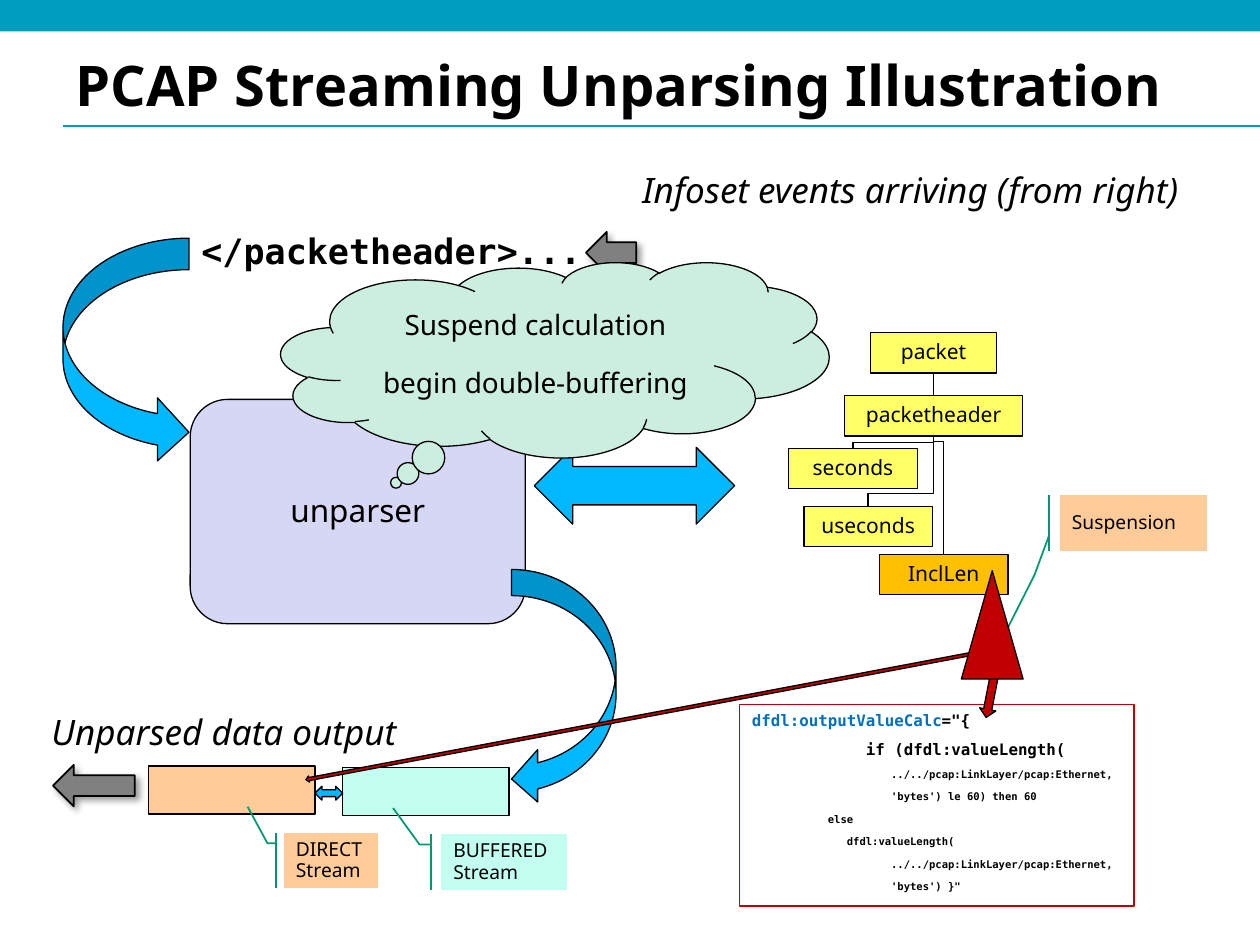
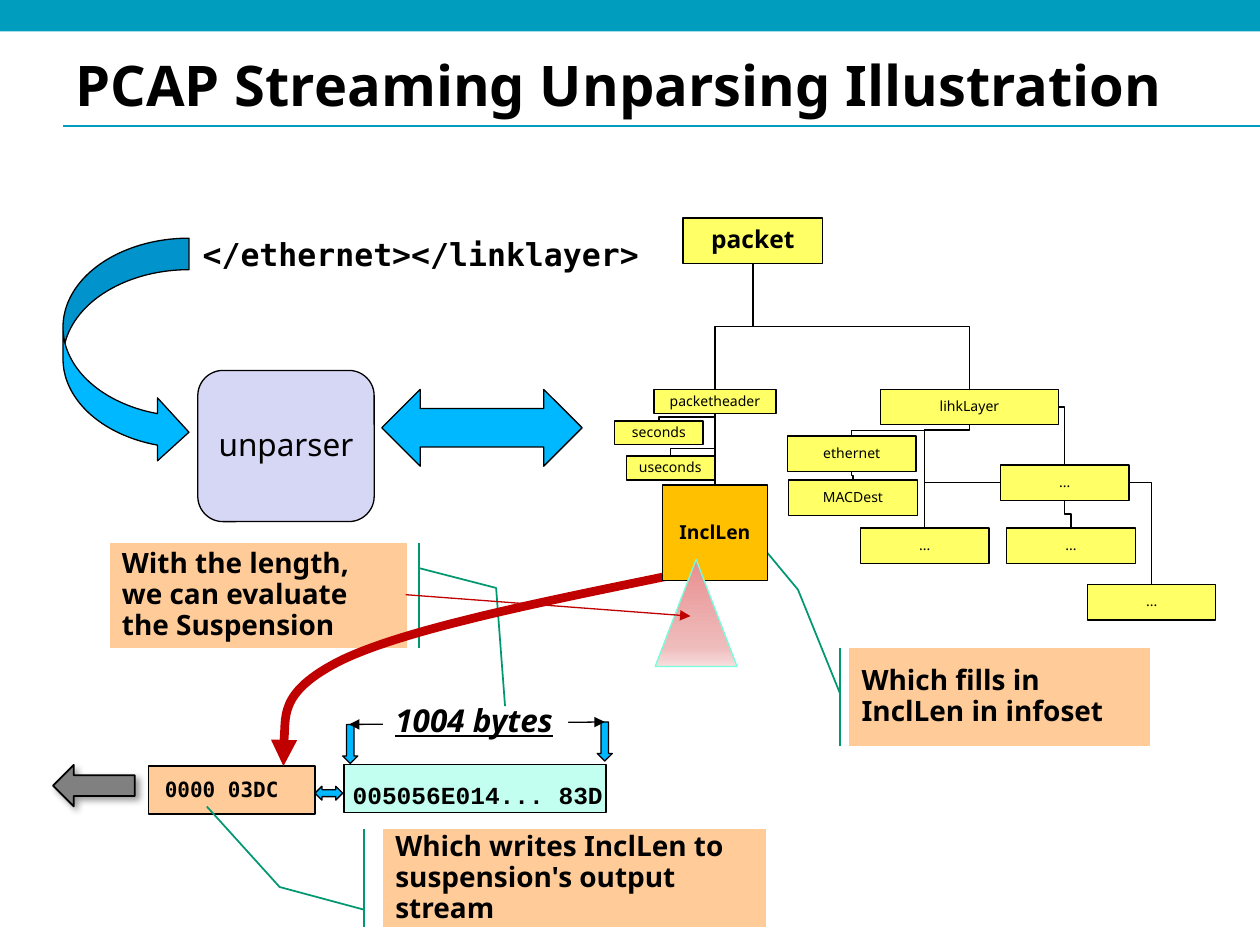
from copy import deepcopy

from lxml.etree import SubElement
from pptx import Presentation
from pptx.dml.color import RGBColor
from pptx.enum.shapes import MSO_CONNECTOR as LINE, MSO_SHAPE as SHAPE
from pptx.enum.text import MSO_ANCHOR as ANCHOR, PP_ALIGN as ALIGN
from pptx.oxml.ns import qn
from pptx.util import Inches, Pt

BLACK = RGBColor(0x00, 0x00, 0x00)
WHITE = RGBColor(0xFF, 0xFF, 0xFF)
TEAL = RGBColor(0x00, 0x9D, 0xBF)
GREEN = RGBColor(0x00, 0x97, 0x71)
CYAN = RGBColor(0x00, 0xB8, 0xFF)
GRAY = RGBColor(0x80, 0x80, 0x80)
PEACH = RGBColor(0xFF, 0xCC, 0x99)
AQUA = RGBColor(0xC2, 0xFF, 0xF0)
AQUA_EDGE = RGBColor(0x75, 0xFF, 0xDD)
LAVENDER = RGBColor(0xD6, 0xD6, 0xF5)
MINT = RGBColor(0xCC, 0xEE, 0xDF)
YELLOW = RGBColor(0xFF, 0xFF, 0x66)
AMBER = RGBColor(0xFF, 0xC0, 0x00)
RED = RGBColor(0xC0, 0x00, 0x00)
CODE_BLUE = RGBColor(0x00, 0x70, 0xC0)
FADE = [(0, RGBColor(0xE9, 0x8F, 0x8F)), (0.82, RGBColor(0xEF, 0xBC, 0xBC)),
        (1, RGBColor(0xF7, 0xDE, 0xDE))]

SANS, MONO, COURIER = "Noto Sans", "DejaVu Sans Mono", "Courier New"
COLS, ROWS = 100, 75
CELL = Inches(0.1)
TITLE = "PCAP Streaming Unparsing Illustration"


def cells(*values):
    """Turn grid columns or rows into EMU."""
    return [round(v * CELL) for v in values]


def bottom(sp):
    return sp.left + sp.width // 2, sp.top + sp.height


def top(sp):
    return sp.left + sp.width // 2, sp.top


class Sheet:
    """The deck's style and the slide being drawn, on a 100 x 75 grid."""

    def __init__(self, prs):
        self.prs = prs

    def new_slide(self):
        self.shapes = self.prs.slides.add_slide(self.prs.slide_layouts[6]).shapes
        self.line((5, 10), (COLS, 10), TEAL)
        self.shape(SHAPE.RECTANGLE, (0, 0, COLS, 2.5), TEAL, None)
        self.text((5, 3.8, 90, 6.1), TITLE, 32, bold=True, anchor=ANCHOR.MIDDLE,
                  spacing=0.98)

    def shape(self, kind, at, fill=None, edge=BLACK, width=0.75, turn=0, adj=(),
              flip=False):
        sp = self.shapes.add_shape(kind, *cells(*at))
        sp.shadow.inherit = False
        sp.rotation = turn
        for i, value in enumerate(adj):
            sp.adjustments[i] = value
        if flip:
            sp._element.spPr.xfrm.set("flipH", "1")
        self.paint(sp, fill, edge, width)
        return sp

    def paint(self, sp, fill, edge, width):
        if fill is None:
            sp.fill.background()
        else:
            sp.fill.solid()
            sp.fill.fore_color.rgb = fill
        if edge is None:
            sp.line.fill.background()
        else:
            sp.line.color.rgb = edge
            sp.line.width = Pt(width)

    def put_text(self, sp, text, size, font=SANS, bold=False, italic=False, underline=False,
                 align=ALIGN.LEFT, anchor=ANCHOR.TOP, wrap=True, spacing=0.93, gap=0):
        tf = sp.text_frame
        tf.word_wrap = wrap
        tf.vertical_anchor = anchor
        for i, line in enumerate(text.split("\n")):
            p = tf.add_paragraph() if i else tf.paragraphs[0]
            p.text = line
            p.alignment = align
            p.line_spacing = spacing
            if i:
                p.space_before = Pt(gap)
            f = p.font
            f.name, f.size, f.bold, f.italic = font, Pt(size), bold, italic
            f.underline = underline
            f.color.rgb = BLACK

    def text(self, at, text, size, **style):
        self.put_text(self.shapes.add_textbox(*cells(*at)), text, size, **style)

    def label(self, kind, at, fill, text, size, bold=False, gap=0, **look):
        """A filled shape with its text in the middle."""
        sp = self.shape(kind, at, fill, **look)
        self.put_text(sp, text, size, bold=bold, gap=gap, align=ALIGN.CENTER,
                      anchor=ANCHOR.MIDDLE)
        return sp

    def node(self, text, at, size, fill=YELLOW, bold=False):
        return self.label(SHAPE.RECTANGLE, at, fill, text, size, bold)

    def callout(self, text, at, adj, size, fill=PEACH, bold=False, flip=False):
        sp = self.shape(SHAPE.LINE_CALLOUT_2_ACCENT_BAR, at, fill, GREEN, 1, adj=adj, flip=flip)
        self.put_text(sp, text, size, bold=bold, anchor=ANCHOR.MIDDLE)

    def exit_arrow(self, at):
        """Gray arrow to the left with a soft shadow."""
        sp = self.shape(SHAPE.RIGHT_ARROW, at, GRAY, width=1, turn=180)
        effects = sp._element.spPr.find(qn("a:effectLst"))
        shadow = SubElement(effects, qn("a:outerShdw"), blurRad=str(Pt(4)),
                            dist=str(Pt(3)), dir="2700000", rotWithShape="0")
        color = SubElement(shadow, qn("a:srgbClr"), val=str(BLACK))
        SubElement(color, qn("a:alpha"), val="40000")

    def fade(self, sp, stops):
        """Fill from top to bottom through three colours."""
        sp.fill.gradient()
        sp.fill.gradient_angle = 270
        first = sp._element.spPr.find(".//" + qn("a:gs"))
        first.addnext(deepcopy(first))
        for stop, (position, color) in zip(sp.fill.gradient_stops, stops):
            stop.position = position
            stop.color.rgb = color

    def arrowheads(self, sp, ends):
        for end in ends:
            SubElement(sp._element.spPr.find(qn("a:ln")), qn("a:" + end), type="triangle")

    def connect(self, kind, start, end, color=BLACK, ends=()):
        c = self.shapes.add_connector(kind, *start, *end)
        c.line.color.rgb = color
        c.line.width = Pt(0.75)
        self.arrowheads(c, ends)
        SubElement(c._element.spPr, qn("a:effectLst"))
        return c

    def line(self, start, end, color=BLACK, ends=()):
        return self.connect(LINE.STRAIGHT, cells(*start), cells(*end), color, ends)

    def drop(self, parent, child):
        """Straight line down to a child right below."""
        c = self.connect(LINE.STRAIGHT, bottom(parent), top(child))
        c.begin_connect(parent, 2)
        c.end_connect(child, 0)

    def branch(self, parent, child, bend=0.5):
        """Down, across and down again; bend is the share of the first drop."""
        (x1, y1), (x2, y2) = bottom(parent), top(child)
        mid_x, mid_y = (x1 + x2) // 2, (y1 + y2) // 2
        to_right = x2 > x1
        run, rise = (y2 - y1) // 2, abs(x2 - x1) // 2
        if to_right:
            run = -run
        c = self.connect(LINE.ELBOW, (mid_x - run, mid_y - rise), (mid_x + run, mid_y + rise))
        spPr = c._element.spPr
        spPr.xfrm.set("rot", str((270 if to_right else 90) * 60000))
        SubElement(spPr.find(".//" + qn("a:avLst")), qn("a:gd"), name="adj1",
                   fmla=f"val {round(bend * 100000)}")

    def corner(self, parent, child):
        """Sideways out of the parent, then down onto the child."""
        x, y = top(child)
        side = parent.left + (parent.width if x > parent.left else 0)
        c = self.connect(LINE.ELBOW, (side, parent.top + parent.height // 2), (x, y))
        c._element.spPr.find(qn("a:prstGeom")).set("prst", "bentConnector2")

    def curve(self, points, color, width):
        """Open Bezier path: a start, then two handles and an end per piece."""
        start, *rest = [cells(*point) for point in points]
        builder = self.shapes.build_freeform(*start)
        builder.add_line_segments(rest, close=False)
        sp = builder.convert_to_shape()
        sp.shadow.inherit = False
        self.paint(sp, None, color, width)
        steps = list(sp._element.iter(qn("a:lnTo")))
        outline = steps[0].getparent()
        for i in range(0, len(steps), 3):
            bezier = SubElement(outline, qn("a:cubicBezTo"))
            for step in steps[i:i + 3]:
                bezier.append(step[0])
                outline.remove(step)
        self.arrowheads(sp, ["tailEnd"])

    def code(self, at, lines):
        """Framed listing; each line is (size, [(text, colour), ...])."""
        sp = self.shape(SHAPE.RECTANGLE, at, None, RED)
        tf = sp.text_frame
        tf.word_wrap = True
        tf.vertical_anchor = ANCHOR.TOP
        for i, (size, runs) in enumerate(lines):
            p = tf.add_paragraph() if i else tf.paragraphs[0]
            p.alignment = ALIGN.LEFT
            if i:
                p.space_before = Pt(5.6)
            p.font.name, p.font.size, p.font.bold = MONO, Pt(size), True
            for text, color in runs:
                r = p.add_run()
                r.text = text
                r.font.color.rgb = color

    def pipeline(self, buffered_at, unparser_at, infoset_link_at):
        """Parts that both slides show: input, unparser, output streams."""
        self.shape(SHAPE.RECTANGLE, buffered_at, AQUA)
        self.shape(SHAPE.RECTANGLE, (11.8, 60.8, 13.2, 3.8), PEACH)
        self.exit_arrow((4.2, 60.7, 6.5, 3.3))
        self.label(SHAPE.ROUNDED_RECTANGLE, unparser_at, LAVENDER, "unparser", 18)
        self.shape(SHAPE.CURVED_RIGHT_ARROW, (5, 18.9, 10, 17.9), CYAN)
        self.shape(SHAPE.LEFT_RIGHT_ARROW, infoset_link_at, CYAN)
        self.shape(SHAPE.LEFT_RIGHT_ARROW, (25, 62.4, 2.2, 1.1), CYAN)


def suspend_slide(s):
    s.new_slide()
    s.pipeline((27.2, 60.9, 13.2, 3.8), (15.1, 31.7, 26.6, 17.8), (42.4, 35.5, 15.9, 6.1))
    s.shape(SHAPE.CURVED_LEFT_ARROW, (40.6, 45.2, 8.3, 18.7), CYAN)
    s.exit_arrow((46.5, 18.4, 4, 3.3))
    s.text((50, 13.2, 52.1, 4.1), "Infoset events arriving (from right)", 20, italic=True)
    s.text((15, 18, 32.3, 4.1), "</packetheader>...", 20, font=MONO, bold=True, wrap=False)
    s.text((3.1, 56.2, 52.1, 4.1), "Unparsed data output", 20, italic=True)

    packet = s.node("packet", (69.1, 26.4, 10, 3.2), 12)
    header = s.node("packetheader", (67.05, 31.4, 14.1, 3.2), 12)
    seconds = s.node("seconds", (62.6, 35.6, 10.2, 3.2), 12)
    useconds = s.node("useconds", (63.8, 40.2, 10.2, 3.2), 12)
    incl_len = s.node("InclLen", (69.8, 44, 10.2, 3.2), 12, AMBER)
    s.drop(packet, header)
    for child, bend in [(seconds, 0.5), (useconds, 0.82), (incl_len, 0.05)]:
        s.branch(header, child, bend)

    wide, tiny = 9, 6
    deep = " " * 22
    s.code((58.7, 55.9, 31.3, 16), [
        (wide, [("dfdl:outputValueCalc", CODE_BLUE), ('="{', BLACK)]),
        (wide, [(" " * 12 + "if (dfdl:valueLength(", BLACK)]),
        *[(tiny, [(line, BLACK)]) for line in (
            deep + "../../pcap:LinkLayer/pcap:Ethernet,",
            deep + "'bytes') le 60) then 60",
            " " * 12 + "else",
            " " * 15 + "dfdl:valueLength(",
            deep + "../../pcap:LinkLayer/pcap:Ethernet,",
            deep + "'bytes') }\"")]])
    s.label(SHAPE.CLOUD_CALLOUT, (22.3, 20.8, 43.5, 15.5), MINT,
            "Suspend calculation\nbegin double-buffering", 16, gap=15, adj=(-0.29, 0.63))
    s.shape(SHAPE.DOWN_ARROW, (51.2, 29.1, 0.5, 55.3), RED, turn=79.3)
    s.shape(SHAPE.DOWN_ARROW, (78.2, 50.9, 1.3, 6.1), RED, turn=11)

    stream_tail = (0.19, -0.08, 0.19, -0.17, -0.47, -0.38)
    s.callout("DIRECT Stream", (22.5, 66.1, 7.5, 4.4), stream_tail, 11)
    s.callout("BUFFERED Stream", (35, 66.2, 10, 4.4), stream_tail, 11, AQUA)
    s.callout("Suspension", (84.1, 39.3, 11.7, 4.4), (0.72, 1.07, 1.44, 1.17, 2.65, 1.4), 11,
              flip=True)
    s.shape(SHAPE.ISOSCELES_TRIANGLE, (76.3, 45.3, 4.9, 8.6), RED)


def evaluate_slide(s):
    s.new_slide()
    s.pipeline((27.3, 60.7, 20.8, 3.8), (15.7, 29.4, 14, 12), (30.3, 30.9, 15.9, 6.1))
    s.text((12.1, 61.3, 11.1, 2.9), "0000 03DC", 12, font=MONO, bold=True)
    s.text((27, 61.6, 24.8, 3.2), "005056E014... 83D", 14, font=COURIER, bold=True)
    s.text((15.1, 18.4, 36.7, 3.8), "</ethernet></linklayer>", 18, font=MONO, bold=True,
           wrap=False)

    for left, above in [(27.2, 57.5), (47.4, 57.3)]:
        s.shape(SHAPE.DOWN_ARROW, (left, above, 1.2, 3.1), CYAN)
    s.line((27.7, 57.5), (48, 57.3), ends=["headEnd", "tailEnd"])
    size_tag = s.shape(SHAPE.RECTANGLE, (30.4, 55.4, 14.7, 3.8), WHITE, None)
    s.put_text(size_tag, "1004 bytes", 18, bold=True, italic=True, underline=True, wrap=False)

    s.callout("With the length, we can evaluate the Suspension", (8.7, 43.1, 23.6, 8.3),
              (0.24, 1.04, 0.43, 1.3, 1.56, 1.33), 16, bold=True)
    s.callout("Which fills in InclLen in infoset", (67.4, 51.4, 23.9, 7.8),
              (0.47, 1.03, -0.59, 1.17, -1.66, 1.46), 16, bold=True, flip=True)
    s.curve([(53.6, 45.6), (42.9, 47.8), (32.3, 49.9), (27.1, 52.4),
             (21.9, 55), (22.4, 60.7), (22.5, 60.8)], RED, 5)
    s.callout("Which writes InclLen to suspension's output stream", (30.4, 65.8, 30.4, 7.8),
              (0.82, -0.05, 0.59, -0.27, -0.23, -0.46), 16, bold=True)

    incl_len = s.node("InclLen", (52.6, 38.5, 8.3, 7.6), 11, AMBER, bold=True)
    packet = s.node("packet", (54.2, 17.3, 11.1, 3.6), 14, bold=True)
    header = s.node("packetheader", (51.9, 30.9, 9.7, 1.9), 8)
    seconds = s.node("seconds", (48.8, 33.4, 7, 1.9), 8)
    useconds = s.node("useconds", (49.7, 36.2, 7, 1.9), 8)
    link_layer = s.node("lihkLayer", (69.9, 30.9, 14.1, 2.8), 8)
    ethernet, mac_dest, lower_left, lower_mid, lower_right, payload = [
        s.node(text, (left, above, 10.2, 2.8), 8) for text, left, above in [
            ("ethernet", 62.5, 34.6), ("MACDest", 62.6, 38.1), ("...", 68.3, 41.9),
            ("...", 79.9, 41.9), ("...", 86.3, 46.4), ("...", 79.4, 36.9)]]
    s.drop(header, incl_len)
    for parent, child, bend in [
            (packet, header, 0.5), (packet, link_layer, 0.5), (header, seconds, 0.5),
            (header, useconds, 0.82), (link_layer, ethernet, 0.5), (ethernet, mac_dest, 0.5),
            (link_layer, lower_left, 0.05), (payload, lower_mid, 0.5)]:
        s.branch(parent, child, bend)
    for parent, child in [(link_layer, payload), (payload, lower_left), (payload, lower_right)]:
        s.corner(parent, child)

    suspension = s.shape(SHAPE.ISOSCELES_TRIANGLE, (52, 44.4, 6.5, 8.5), WHITE, AQUA_EDGE,
                         flip=True)
    s.fade(suspension, FADE)
    s.line((32.2, 47.2), (54.8, 48.9), RED, ends=["tailEnd"])


def main():
    prs = Presentation()
    prs.slide_width, prs.slide_height = cells(COLS, ROWS)
    sheet = Sheet(prs)
    suspend_slide(sheet)
    evaluate_slide(sheet)
    prs.save("out.pptx")


if __name__ == "__main__":
    main()
